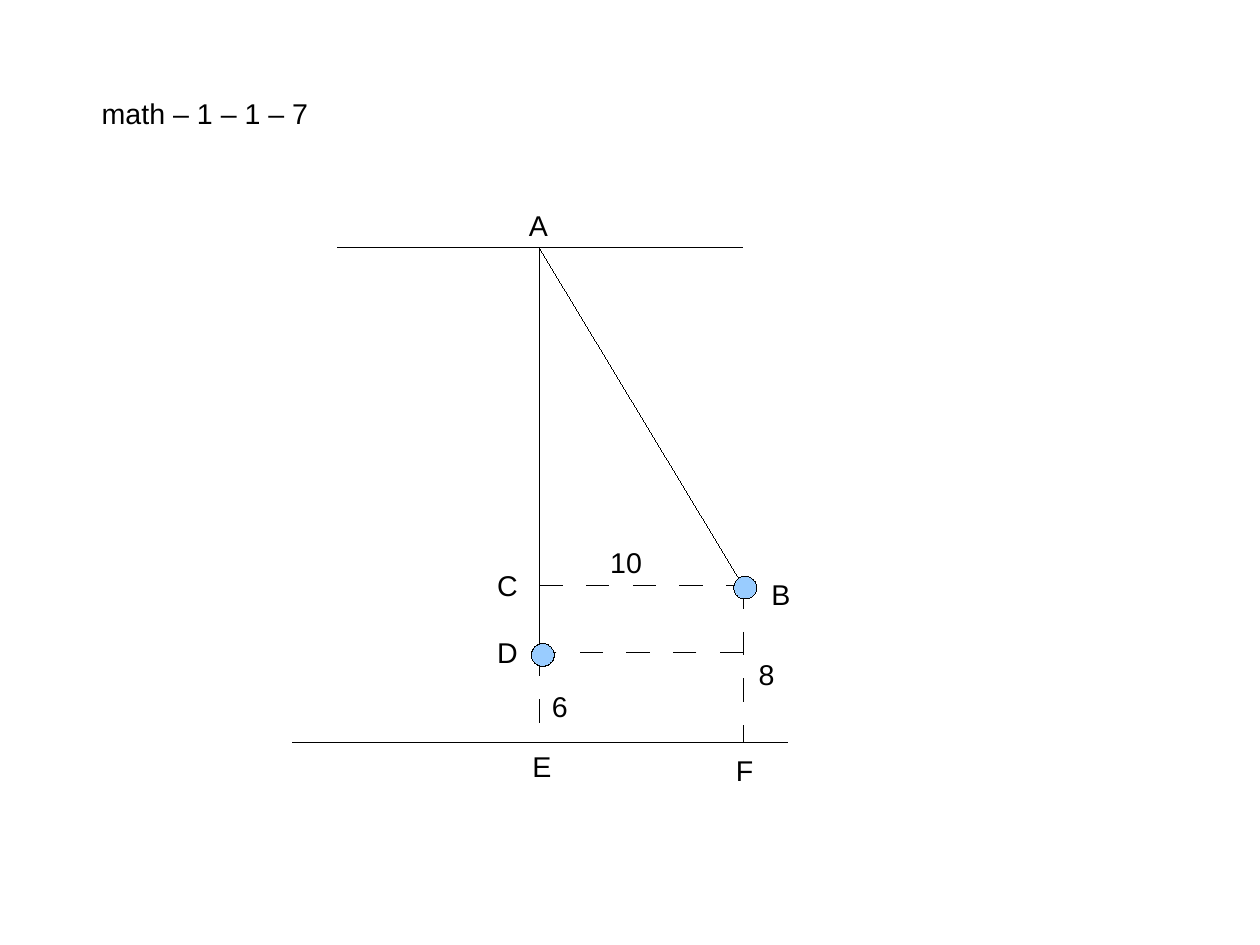
from typing import NamedTuple

from lxml import etree
from pptx import Presentation
from pptx.dml.color import RGBColor
from pptx.enum.shapes import MSO_CONNECTOR, MSO_SHAPE
from pptx.enum.text import MSO_ANCHOR, MSO_AUTO_SIZE, PP_ALIGN
from pptx.oxml.ns import qn
from pptx.util import Inches, Pt

STRAIGHT = MSO_CONNECTOR.STRAIGHT
OVAL = MSO_SHAPE.OVAL
TOP = MSO_ANCHOR.TOP
LEFT = PP_ALIGN.LEFT
FIT_SHAPE = MSO_AUTO_SIZE.SHAPE_TO_FIT_TEXT

CM_PER_INCH = 2.54
BLACK = "000000"
BALL_BLUE = "99CCFF"
BALL_SIZE = 0.2
LABEL_HEIGHT = 0.38
DASH_WIDTH = 0.25  # points
DASH_LENGTH = 14.4  # points, for dash and gap alike

# Levels and verticals of the pendulum
X_REST, X_SWING = 4.72, 6.5
Y_CEILING, Y_SWING, Y_REST, Y_FLOOR = 2.17, 5.12, 5.71, 6.5


class Segment(NamedTuple):
    x1: float
    y1: float
    x2: float
    y2: float
    dashed: bool = False


class Label(NamedTuple):
    text: str
    left: float
    top: float
    width: float


SEGMENTS = [
    Segment(2.95, Y_CEILING, X_SWING, Y_CEILING),
    Segment(X_REST, Y_CEILING, X_REST, Y_REST),
    Segment(X_REST, Y_CEILING, X_SWING, Y_SWING),
    Segment(2.56, Y_FLOOR, 6.89, Y_FLOOR),
    Segment(X_REST, Y_SWING, X_SWING, Y_SWING, dashed=True),
    Segment(X_SWING, Y_SWING, X_SWING, Y_FLOOR, dashed=True),
    Segment(X_SWING, Y_REST, X_REST, Y_REST, dashed=True),
    Segment(X_REST, Y_REST, X_REST, Y_FLOOR, dashed=True),
]
TITLE = Label("math – 1 – 1 – 7", 0.79, 0.79, 2.1)
LABELS = [
    Label("A", 4.53, 1.77, 0.36),
    Label("D", 4.25, 5.51, 0.38),
    Label("E", 4.56, 6.5, 0.36),
    Label("B", 6.65, 5, 0.36),
    Label("F", 6.34, 6.54, 0.35),
    Label("10", 5.24, 4.72, 0.48),
    Label("8", 6.54, 5.7, 0.34),
    Label("6", 4.73, 5.98, 0.34),
    Label("C", 4.25, 4.92, 0.38),
]
BALLS = [(4.65, 5.63), (6.42, 5.04)]


def color(value: str) -> RGBColor:
    return RGBColor.from_string(value)


def draw_hairline(sp):
    """Give a shape the thinnest black line and return its line element."""
    sp.line.color.rgb = color(BLACK)
    ln = sp._element.spPr.find(qn("a:ln"))
    ln.set("w", "0")
    return ln


def write_label(sp, label: Label) -> None:
    """Place a text box or placeholder and format its text."""
    sp.left, sp.top = Inches(label.left), Inches(label.top)
    sp.width, sp.height = Inches(label.width), Inches(LABEL_HEIGHT)
    tf = sp.text_frame
    tf.text = label.text
    tf.word_wrap = False
    tf.auto_size = FIT_SHAPE
    tf.vertical_anchor = TOP
    p = tf.paragraphs[0]
    p.alignment = LEFT
    p.font.name = "Arial"
    p.font.size = Pt(18)
    p.font.color.rgb = color(BLACK)


def add_segment(shapes, seg: Segment) -> None:
    line = shapes.add_connector(STRAIGHT, Inches(seg.x1), Inches(seg.y1),
                                Inches(seg.x2), Inches(seg.y2))
    ln = draw_hairline(line)
    if seg.dashed:
        line.line.width = Pt(DASH_WIDTH)
        dash = etree.SubElement(ln, qn("a:custDash"))
        length = str(round(DASH_LENGTH / DASH_WIDTH * 100000))
        etree.SubElement(dash, qn("a:ds"), d=length, sp=length)
    etree.SubElement(line._element.spPr, qn("a:effectLst"))


def add_ball(shapes, left: float, top: float) -> None:
    sp = shapes.add_shape(OVAL, Inches(left), Inches(top),
                          Inches(BALL_SIZE), Inches(BALL_SIZE))
    sp.shadow.inherit = False
    sp.fill.solid()
    sp.fill.fore_color.rgb = color(BALL_BLUE)
    draw_hairline(sp)


def main() -> None:
    prs = Presentation()
    prs.slide_width = Inches(28 / CM_PER_INCH)
    prs.slide_height = Inches(21 / CM_PER_INCH)
    shapes = prs.slides.add_slide(prs.slide_layouts[5]).shapes
    write_label(shapes.title, TITLE)
    for seg in SEGMENTS:
        add_segment(shapes, seg)
    for label in LABELS:
        write_label(shapes.add_textbox(0, 0, 0, 0), label)
    for left, top in BALLS:
        add_ball(shapes, left, top)
    prs.save("out.pptx")


if __name__ == "__main__":
    main()
